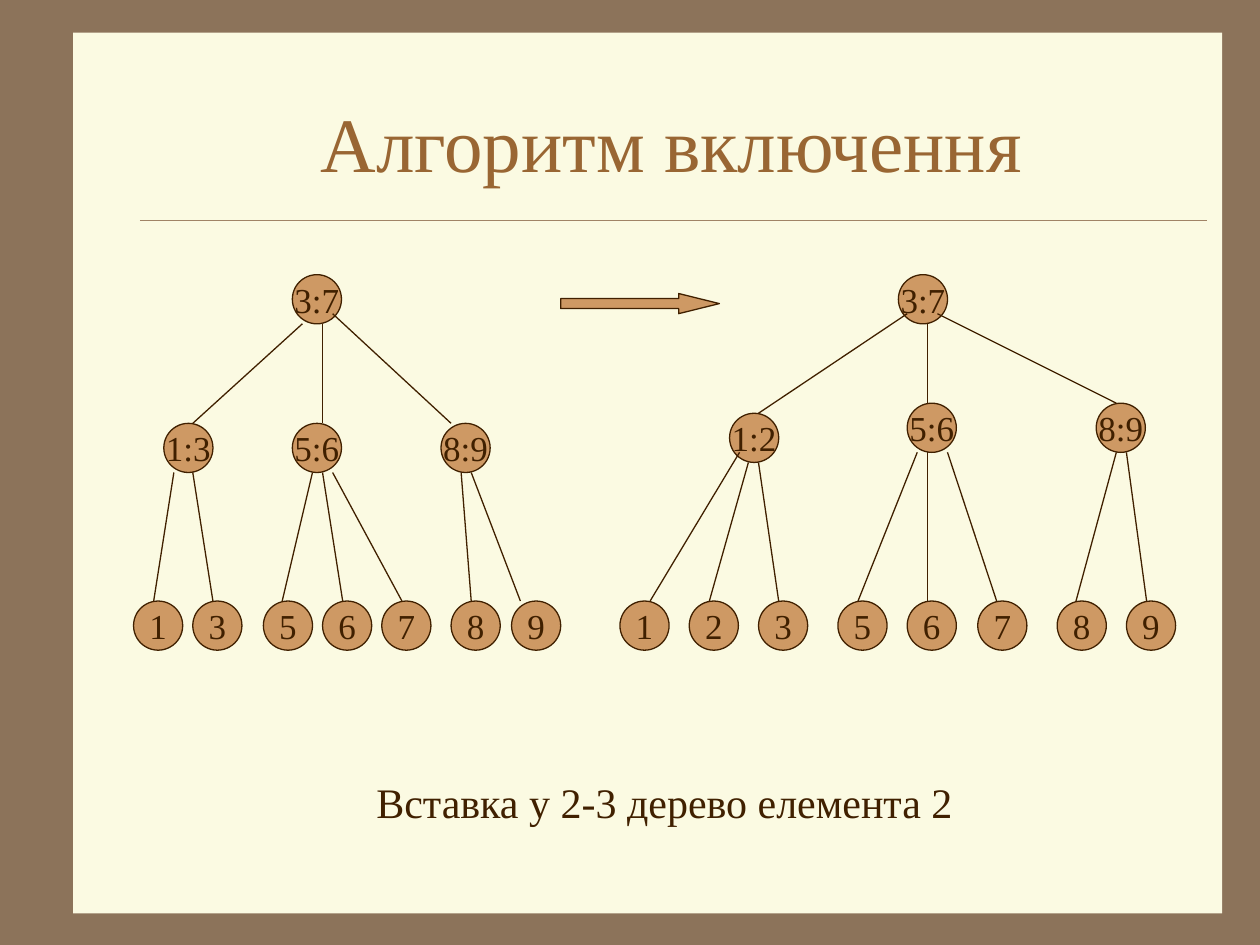
from lxml import etree
from pptx import Presentation
from pptx.dml.color import RGBColor
from pptx.enum.shapes import MSO_CONNECTOR, MSO_SHAPE
from pptx.enum.text import MSO_ANCHOR, PP_ALIGN
from pptx.oxml.ns import qn
from pptx.util import Inches, Pt

STRAIGHT = MSO_CONNECTOR.STRAIGHT
RECTANGLE, OVAL, ARROW = MSO_SHAPE.RECTANGLE, MSO_SHAPE.OVAL, MSO_SHAPE.RIGHT_ARROW
CENTER, MIDDLE, TOP = PP_ALIGN.CENTER, MSO_ANCHOR.MIDDLE, MSO_ANCHOR.TOP

FONT = "Times New Roman"
COLORS = {"frame": "8C735A", "panel": "FBFAE2", "rule": "A08366",
          "title": "996633", "node": "CE9964", "ink": "402000"}

TITLE = "Алгоритм включення"
CAPTION = "Вставка у 2-3 дерево елемента 2"

NODE_SIZE = 0.39
ROOT_TOP = 2.18
LEAF_TOP = 4.77

# Each edge is (start x, start y, end x); it ends at the top of the child.
# Branch: label, left, top, edge from the root, leaves.
# Leaf: label, left, edge from the branch.
TREES = [
    {"root": ("3:7", 2.32), "branches": [
        ("1:3", 1.3, 3.36, (2.4, 2.57, 1.53), [
            ("1", 1.06, (1.38, 3.75, 1.22)),
            ("3", 1.53, (1.53, 3.75, 1.69))]),
        ("5:6", 2.32, 3.36, (2.56, 2.57, 2.56), [
            ("5", 2.09, (2.48, 3.75, 2.24)),
            ("6", 2.56, (2.56, 3.75, 2.72)),
            ("7", 3.03, (2.64, 3.75, 3.19))]),
        ("8:9", 3.5, 3.36, (2.64, 2.49, 3.58), [
            ("8", 3.58, (3.66, 3.75, 3.74)),
            ("9", 4.06, (3.74, 3.75, 4.13))]),
    ]},
    {"root": ("3:7", 7.13), "branches": [
        ("1:2", 5.79, 3.28, (7.2, 2.49, 6.02), [
            ("1", 4.92, (5.87, 3.59, 5.16)),
            ("2", 5.47, (5.94, 3.67, 5.63)),
            ("3", 6.02, (6.02, 3.67, 6.18))]),
        ("5:6", 7.2, 3.2, (7.36, 2.57, 7.36), [
            ("5", 6.65, (7.28, 3.59, 6.81)),
            ("6", 7.2, (7.36, 3.59, 7.36)),
            ("7", 7.76, (7.52, 3.59, 7.91))]),
        ("8:9", 8.7, 3.2, (7.44, 2.49, 8.86), [
            ("8", 8.39, (8.86, 3.59, 8.54)),
            ("9", 8.94, (8.94, 3.59, 9.1))]),
    ]},
]


def color(name):
    return RGBColor.from_string(COLORS[name])


def write(box, text, size, ink, anchor, wrap):
    frame = box.text_frame
    frame.word_wrap = wrap
    frame.vertical_anchor = anchor
    para = frame.paragraphs[0]
    para.text = text
    para.alignment = CENTER
    para.font.name = FONT
    para.font.size = Pt(size)
    para.font.color.rgb = color(ink)


def add_text(slide, area, text, size, ink, anchor):
    box = slide.shapes.add_textbox(*map(Inches, area))
    write(box, text, size, ink, anchor, True)


def add_figure(slide, kind, area, fill, outline=None):
    figure = slide.shapes.add_shape(kind, *map(Inches, area))
    figure.shadow.inherit = False
    figure.fill.solid()
    figure.fill.fore_color.rgb = color(fill)
    if outline:
        figure.line.color.rgb = color(outline)
        figure.line.width = Pt(0.75)
    else:
        figure.line.fill.background()
    return figure


def add_line(slide, start, end, ink="ink", width=0.75):
    line = slide.shapes.add_connector(STRAIGHT, *map(Inches, start + end))
    line.line.color.rgb = color(ink)
    line.line.width = Pt(width)
    etree.SubElement(line._element.spPr, qn("a:effectLst"))


def add_node(slide, label, left, top):
    node = add_figure(slide, OVAL, (left, top, NODE_SIZE, NODE_SIZE), "node", "ink")
    write(node, label, 20, "ink", MIDDLE, False)


def add_tree(slide, tree):
    label, left = tree["root"]
    nodes, edges = [(label, left, ROOT_TOP)], []
    for label, left, top, edge, leaves in tree["branches"]:
        nodes.append((label, left, top))
        edges.append((edge, top))
        for leaf, leaf_left, leaf_edge in leaves:
            nodes.append((leaf, leaf_left, LEAF_TOP))
            edges.append((leaf_edge, LEAF_TOP))
    for node in nodes:
        add_node(slide, *node)
    for (start_x, start_y, end_x), end_y in edges:
        add_line(slide, (start_x, start_y), (end_x, end_y))


def main():
    deck = Presentation()
    deck.slide_width, deck.slide_height = Inches(10), Inches(7.5)
    slide = deck.slides.add_slide(deck.slide_layouts[6])
    slide.background.fill.solid()
    slide.background.fill.fore_color.rgb = color("frame")

    add_figure(slide, RECTANGLE, (0.58, 0.26, 9.12, 6.99), "panel")
    add_line(slide, (1.11, 1.75), (9.58, 1.75), "rule", 0.25)
    add_text(slide, (1.08, 0.5, 8.5, 1.25), TITLE, 44, "title", MIDDLE)
    for tree in TREES:
        add_tree(slide, tree)
    add_text(slide, (1.14, 6.11, 8.27, 0.5), CAPTION, 24, "ink", TOP)
    arrow = add_figure(slide, ARROW, (4.45, 2.33, 1.26, 0.16), "node", "ink")
    arrow.adjustments[1] = 2.02

    deck.save("out.pptx")


if __name__ == "__main__":
    main()
